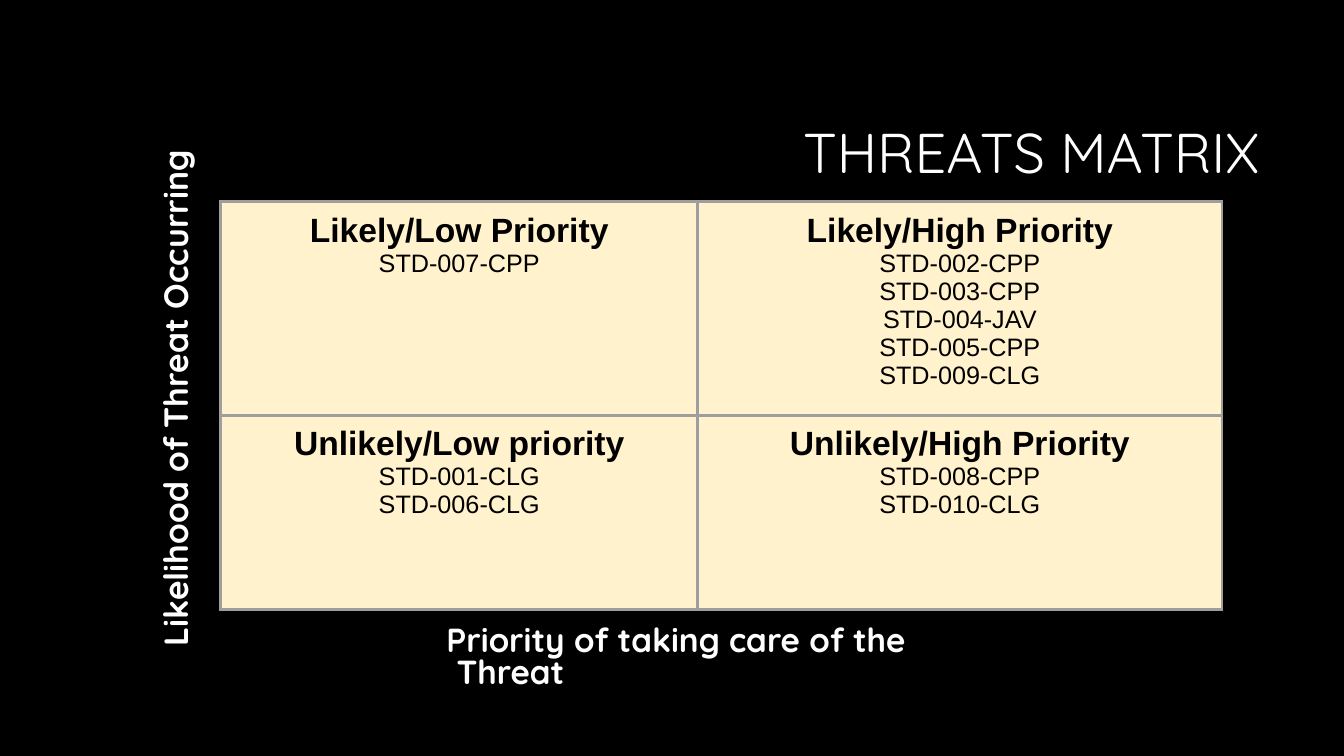
from dataclasses import dataclass
from lxml.etree import SubElement
from pptx import Presentation
from pptx.dml.color import RGBColor
from pptx.enum.text import MSO_ANCHOR, MSO_AUTO_SIZE, PP_ALIGN
from pptx.oxml.ns import qn
from pptx.util import Inches, Pt

TITLE = "THREATS MATRIX"
SIDE = "Likelihood of Threat Occurring"
BASE = "Priority of taking care of the Threat"
GRID = [
    [
        ("Likely/Low Priority", ["STD-007-CPP"]),
        ("Likely/High Priority", ["STD-002-CPP", "STD-003-CPP", "STD-004-JAV",
                                  "STD-005-CPP", "STD-009-CLG"]),
    ],
    [
        ("Unlikely/Low priority", ["STD-001-CLG", "STD-006-CLG"]),
        ("Unlikely/High Priority", ["STD-008-CPP", "STD-010-CLG"]),
    ],
]
COLS = [4.73, 5.2]
ROWS = [2.12, 1.93]


@dataclass(frozen=True)
class Theme:
    back: str = "000000"
    light: str = "FFFFFF"
    dark: str = "000000"
    cell: str = "FFF2CC"
    rule: str = "9E9E9E"
    head: str = "Quicksand"
    body: str = "Arial"
    title: float = 40
    side: float = 24.1
    base: float = 23.8
    label: float = 24
    item: float = 18
    line: float = 2.25


LOOK = Theme()


def write(para, text, size, font=LOOK.head, color=LOOK.light, bold=False,
          align=PP_ALIGN.LEFT, lead=1.0, before=0, left=0, first=0):
    para.alignment = align
    para.line_spacing = lead
    para.space_before = Pt(before)
    props = para._p.get_or_add_pPr()
    props.set("marL", str(Inches(left)))
    props.set("indent", str(Inches(first)))
    run = para.add_run()
    run.text = text
    run.font.size = Pt(size)
    run.font.name = font
    run.font.bold = bold
    run.font.color.rgb = RGBColor.from_string(color)


def place(shape, box):
    shape.left, shape.top, shape.width, shape.height = map(Inches, box)
    frame = shape.text_frame
    frame.word_wrap = True
    frame.auto_size = MSO_AUTO_SIZE.NONE
    return frame


def edge(cell):
    props = cell._tc.get_or_add_tcPr()
    for spot, side in enumerate(("lnL", "lnR", "lnT", "lnB")):
        line = props.makeelement(qn(f"a:{side}"), {"w": str(Pt(LOOK.line))})
        fill = SubElement(line, qn("a:solidFill"))
        SubElement(fill, qn("a:srgbClr"), val=LOOK.rule)
        props.insert(spot, line)


def fill(cell, label, items):
    cell.fill.solid()
    cell.fill.fore_color.rgb = RGBColor.from_string(LOOK.cell)
    edge(cell)
    cell.margin_left = cell.margin_right = Inches(0.1)
    cell.margin_top = cell.margin_bottom = Inches(0.1)
    frame = cell.text_frame
    style = dict(font=LOOK.body, color=LOOK.dark, align=PP_ALIGN.CENTER)
    write(frame.paragraphs[0], label, LOOK.label, bold=True, **style)
    for item in items:
        write(frame.add_paragraph(), item, LOOK.item, **style)


def main():
    deck = Presentation()
    deck.slide_width, deck.slide_height = Inches(13.33), Inches(7.5)
    slide = deck.slides.add_slide(deck.slide_layouts[5])
    slide.background.fill.solid()
    slide.background.fill.fore_color.rgb = RGBColor.from_string(LOOK.back)
    shapes = slide.shapes

    frame = place(shapes.title, (3.17, 0.84, 9.42, 1.41))
    frame.vertical_anchor = MSO_ANCHOR.MIDDLE
    write(frame.paragraphs[0], TITLE, LOOK.title, align=PP_ALIGN.RIGHT, lead=0.9)

    side = shapes.add_textbox(0, 0, 0, 0)
    frame = place(side, (-0.86, 3.61, 5.46, 0.84))
    side.rotation = 270
    write(frame.paragraphs[0], SIDE, LOOK.side, bold=True, lead=1.08, left=0.25)

    table = shapes.add_table(len(ROWS), len(COLS), Inches(2.19), Inches(2),
                             Inches(sum(COLS)), Inches(sum(ROWS))).table
    for col, width in zip(table.columns, COLS):
        col.width = Inches(width)
    for row, height, cells in zip(table.rows, ROWS, GRID):
        row.height = Inches(height)
        for cell, (label, items) in zip(row.cells, cells):
            fill(cell, label, items)

    frame = place(shapes.add_textbox(0, 0, 0, 0), (4.18, 6.17, 6.04, 0.84))
    frame.margin_right = Inches(0.2)
    write(frame.paragraphs[0], BASE, LOOK.base, bold=True, lead=0.8, before=10,
          left=0.25, first=-0.1)

    deck.save("out.pptx")


if __name__ == "__main__":
    main()
